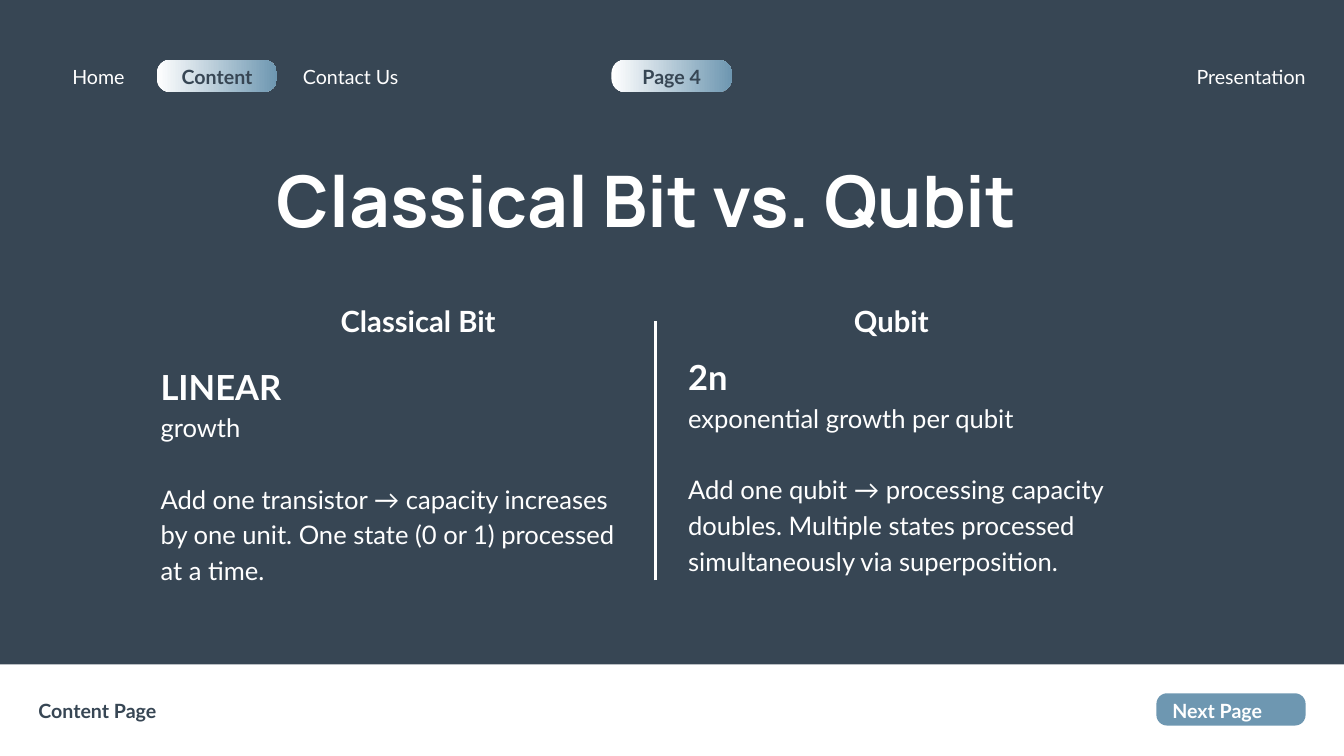
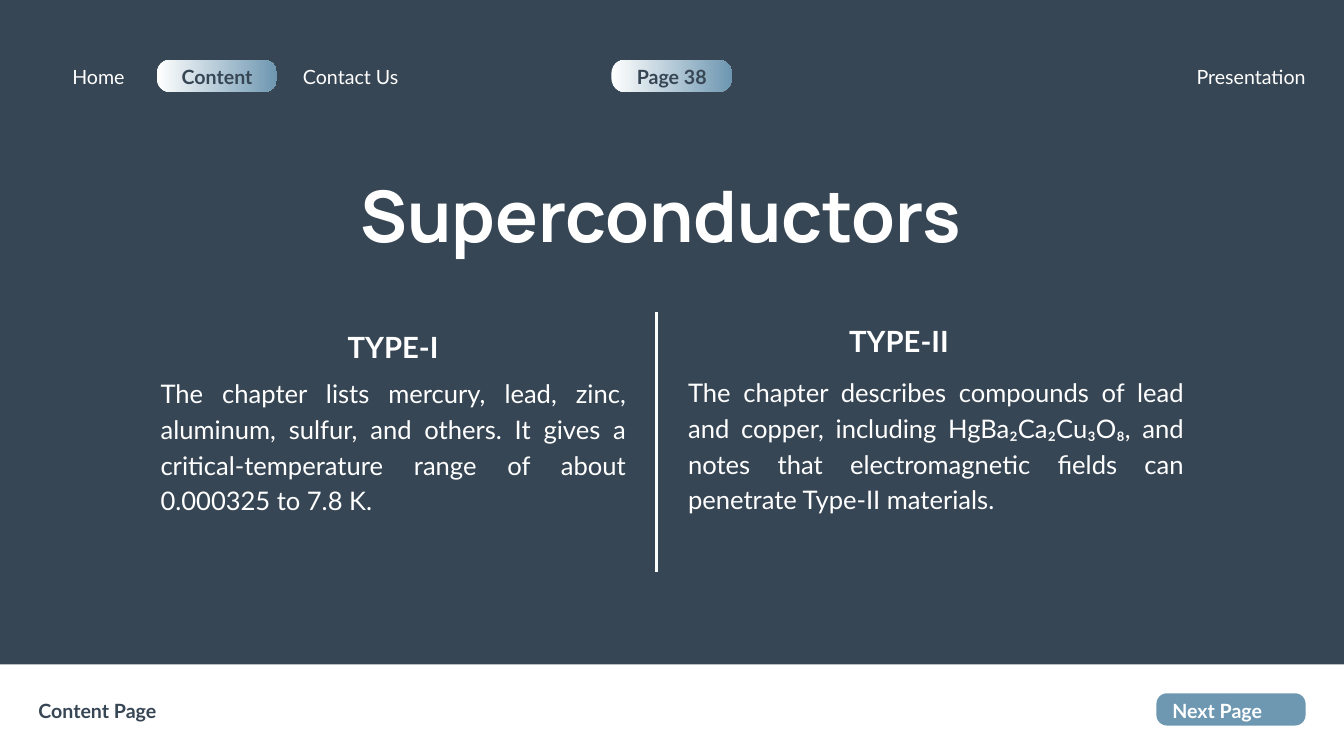
from dataclasses import dataclass

from lxml import etree
from pptx import Presentation
from pptx.dml.color import RGBColor
from pptx.enum.shapes import MSO_CONNECTOR, MSO_SHAPE
from pptx.enum.text import MSO_ANCHOR, MSO_AUTO_SIZE, PP_ALIGN
from pptx.oxml.ns import qn
from pptx.util import Cm, Pt

LEFT, CENTER, RIGHT, JUSTIFY = PP_ALIGN.LEFT, PP_ALIGN.CENTER, PP_ALIGN.RIGHT, PP_ALIGN.JUSTIFY
TOP = MSO_ANCHOR.TOP
NO_FIT = MSO_AUTO_SIZE.NONE
STRAIGHT = MSO_CONNECTOR.STRAIGHT
RECTANGLE, ROUNDED = MSO_SHAPE.RECTANGLE, MSO_SHAPE.ROUNDED_RECTANGLE

SLATE, STEEL, WHITE = "374654", "6E97B1", "FFFFFF"
WIDTH, HEIGHT = 50.8, 28.58
NAV_BOX = (0, 2.26, WIDTH, 1.22)
FOOTER_BOX = (0, 25.12, WIDTH, 3.46)
TITLE_ONLY = 5


@dataclass
class Style:
    """Hold the look of a paragraph."""
    size: float
    spacing: float
    bold: bool = False
    color: str = WHITE
    font: str = "Lato"
    before: float = 0


TITLE = Style(76.2, 68.5, True, font="Manrope")
HEADING = Style(31.3, 37.5, True)
FIGURE = Style(37, 51.8, True)
BODY = Style(27.4, 38.3)
SPACED_BODY = Style(27.4, 38.3, before=38.3)
LINK = Style(21, 29.4)
STRONG_LINK = Style(21, 29.4, True)
DARK_LINK = Style(21, 29.4, True, SLATE)


def rgb(value):
    """Turn a hex string into a colour."""
    return RGBColor.from_string(value)


def lengths(box):
    """Turn a box in centimetres into lengths."""
    return [Cm(value) for value in box]


def fill_frame(frame, lines, align):
    """Write styled lines into a text frame without margins."""
    frame.word_wrap = True
    frame.auto_size = NO_FIT
    frame.vertical_anchor = TOP
    frame.margin_left = frame.margin_top = frame.margin_right = frame.margin_bottom = 0
    for index, (text, style) in enumerate(lines):
        para = frame.add_paragraph() if index else frame.paragraphs[0]
        para.text = text
        para.alignment = align
        para.line_spacing = Pt(style.spacing)
        para.space_before = Pt(style.before)
        para.font.size = Pt(style.size)
        para.font.name = style.font
        para.font.bold = style.bold
        para.font.color.rgb = rgb(style.color)


def add_text(page, box, lines, align=LEFT):
    """Add a text box with styled lines."""
    fill_frame(page.shapes.add_textbox(*lengths(box)).text_frame, lines, align)


def add_panel(page, kind, box, colors, rounding=None):
    """Add a borderless shape with a plain or gradient fill."""
    panel = page.shapes.add_shape(kind, *lengths(box))
    panel.shadow.inherit = False
    panel.line.fill.background()
    if rounding:
        panel.adjustments[0] = rounding
    if len(colors) == 1:
        panel.fill.solid()
        panel.fill.fore_color.rgb = rgb(colors[0])
        return
    panel.fill.gradient()
    panel.fill.gradient_angle = 0
    for stop, color in zip(panel.fill.gradient_stops, colors):
        stop.color.rgb = rgb(color)


def add_navigation(page, box, page_label):
    """Place the menu and page number along the top."""
    left, top, _, height = box
    for pill_left in (5.92, 23.11):
        add_panel(page, ROUNDED, (left + pill_left, top, 4.55, height), (WHITE, STEEL), 0.42)
    links = (
        ("Home", 2.08, 3.28, LINK, CENTER),
        ("Content", 6.58, 3.25, DARK_LINK, CENTER),
        ("Contact Us", 11.02, 4.47, LINK, CENTER),
        (page_label, 23.75, 3.28, DARK_LINK, CENTER),
        ("Presentation", 37.34, 12.01, LINK, RIGHT),
    )
    for text, link_left, width, style, align in links:
        add_text(page, (left + link_left, top + 0.05, width, 1), [(text, style)], align)


def add_footer(page, box):
    """Place the white band with its label and button."""
    left, top, _, _ = box
    add_panel(page, RECTANGLE, box, (WHITE,))
    add_panel(page, ROUNDED, (left + 43.71, top + 1.09, 5.64, 1.22), (STEEL,), 0.33)
    add_text(page, (left + 44.12, top + 1.14, 3.78, 1), [("Next Page", STRONG_LINK)], CENTER)
    add_text(page, (left + 1.45, top + 1.14, 5.77, 1), [("Content Page", DARK_LINK)])


def add_title(page, box, text, align):
    """Place and format the title placeholder."""
    title = page.shapes.title
    title.left, title.top, title.width, title.height = lengths(box)
    fill_frame(title.text_frame, [(text, TITLE)], align)


def add_column(page, box, heading, lines, align):
    """Place body text in a box with its heading above."""
    text, offset, rise, width = heading
    left, top, _, _ = box
    add_text(page, (left + offset, top - rise, width, 1.32), [(text, HEADING)], CENTER)
    add_text(page, box, lines, align)


def add_divider(page, left, top):
    """Draw the vertical rule between the columns."""
    rule = page.shapes.add_connector(STRAIGHT, *lengths((left, top + 9.82, left, top)))
    rule.line.color.rgb = rgb(WHITE)
    rule.line.width = Pt(3.75)
    etree.SubElement(rule.line._get_or_add_ln().getparent(), qn("a:effectLst"))


def add_comparison(deck, page_label, title, columns, align, divider):
    """Build a slide that compares two columns."""
    page = deck.slides.add_slide(deck.slide_layouts[TITLE_ONLY])
    page.background.fill.solid()
    page.background.fill.fore_color.rgb = rgb(SLATE)
    add_navigation(page, NAV_BOX, page_label)
    add_footer(page, FOOTER_BOX)
    add_title(page, *title)
    for box, heading, lines in columns:
        add_column(page, box, heading, lines, align)
    add_divider(page, *divider)


def main():
    """Build and save the deck."""
    deck = Presentation()
    deck.slide_width, deck.slide_height = Cm(WIDTH), Cm(HEIGHT)
    add_comparison(
        deck, "Page 4",
        ((10.46, 6.71, 29.87, 2.82), "Classical Bit vs. Qubit", LEFT),
        (
            ((6.07, 13.56, 17.58, 9.88), ("Classical Bit", 4.19, 2.1, 11.1), [
                ("LINEAR", FIGURE),
                ("growth", BODY),
                ("Add one transistor → capacity increases by one unit. "
                 "One state (0 or 1) processed at a time.", SPACED_BODY),
            ]),
            ((26.01, 13.21, 18.72, 11.23), ("Qubit", 2.13, 1.75, 11.1), [
                ("2n", FIGURE),
                ("exponential growth per qubit", BODY),
                ("Add one qubit → processing capacity doubles. Multiple states "
                 "processed simultaneously via superposition.", SPACED_BODY),
            ]),
        ),
        LEFT, (24.77, 12.12),
    )
    add_comparison(
        deck, "Page 38",
        ((7.21, 7.29, 35.53, 2.82), "Superconductors", CENTER),
        (
            ((6.07, 14.1, 17.58, 6.68), ("TYPE-I", 2.62, 1.65, 12.34), [
                ("The chapter lists mercury, lead, zinc, aluminum, sulfur, and others. "
                 "It gives a critical-temperature range of about 0.000325 to 7.8 K.", BODY),
            ]),
            ((26.01, 14.07, 18.72, 8.03), ("TYPE-II", 2.13, 1.83, 11.68), [
                ("The chapter describes compounds of lead and copper, including "
                 "HgBa₂Ca₂Cu₃O₈, and notes that electromagnetic fields can penetrate "
                 "Type-II materials.", BODY),
            ]),
        ),
        JUSTIFY, (24.82, 11.79),
    )
    deck.save("out.pptx")


if __name__ == "__main__":
    main()
